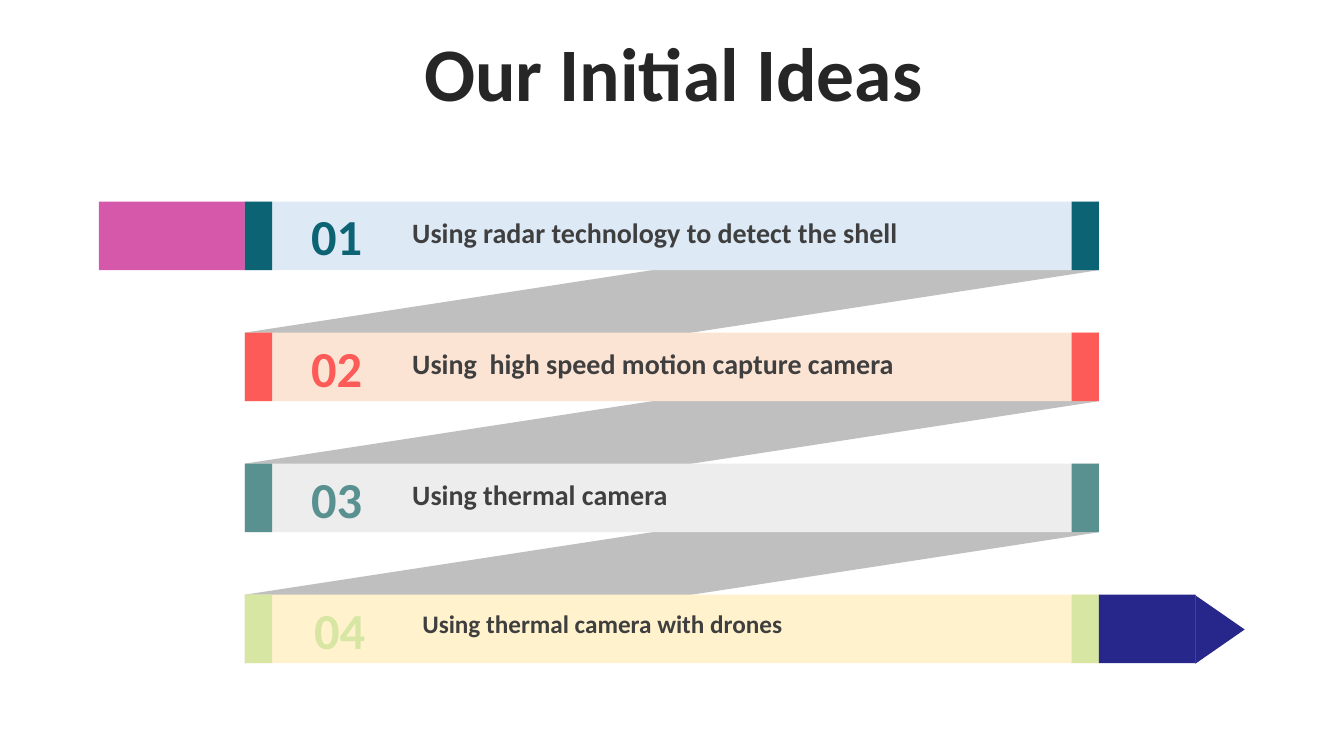
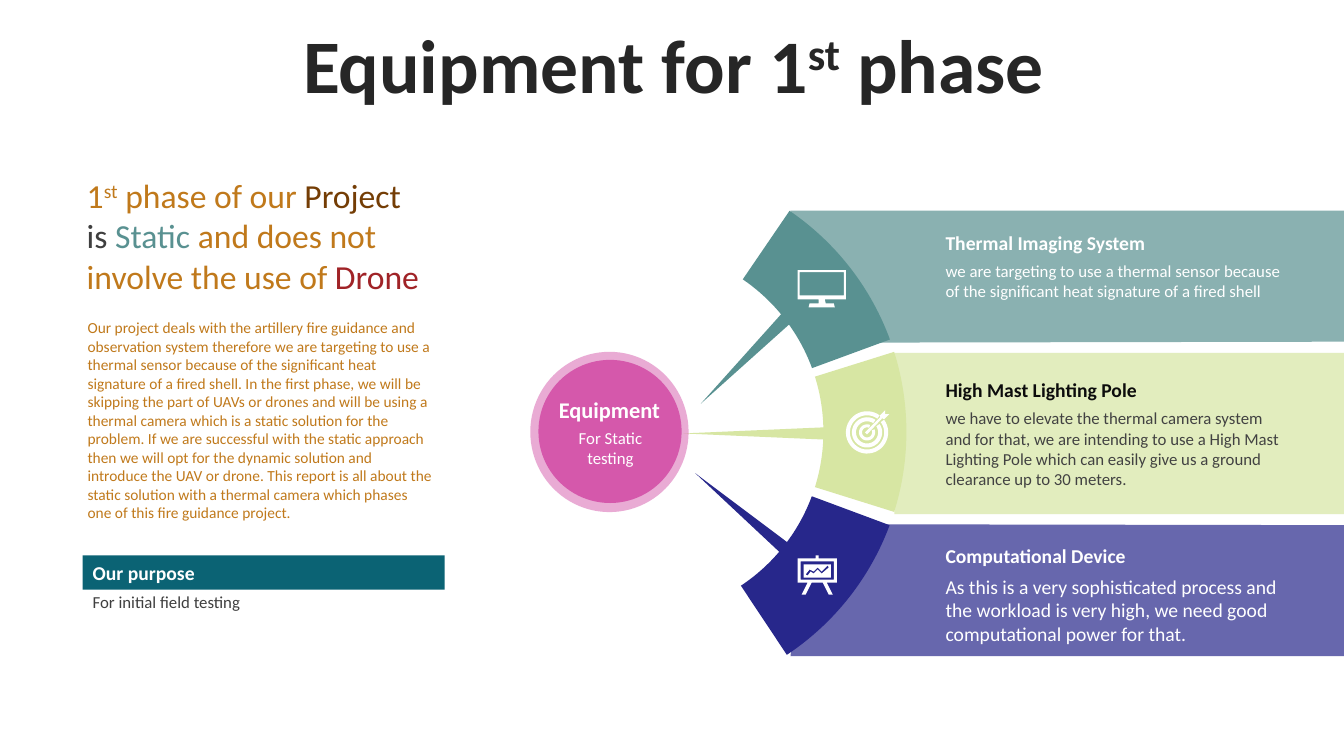
"""Builds two slides: a ribbon of initial ideas and the equipment for the first phase."""
from math import asin, cos, degrees, radians, sin

from lxml import etree
from pptx import Presentation
from pptx.dml.color import RGBColor
from pptx.enum import shapes as kinds, text as texts
from pptx.oxml.ns import qn
from pptx.util import Inches, Pt

SHAPE = kinds.MSO_SHAPE
CENTER = texts.PP_ALIGN.CENTER
MIDDLE = texts.MSO_ANCHOR.MIDDLE
FONT = "Calibri"
COLORS = {
    "title": "262626", "body": "3F3F3F", "white": "FFFFFF", "ribbon": "BFBFBF",
    "pink": "D558AB", "petrol": "0B6374", "coral": "FD5B58", "teal": "599191",
    "lime": "D7E6A3", "navy": "27278B", "ochre": "C0791B", "brown": "743D05",
    "red": "A02327", "ice": "DDEAF6", "peach": "FBE4D4", "mist": "EDEDED",
    "cream": "FFF2CC", "ink": "0C0C0C", "gray": "424242",
}

IDEAS = [
    {"text": "Using radar technology to detect the shell", "color": "petrol", "bar": "ice"},
    {"text": "Using  high speed motion capture camera", "color": "coral", "bar": "peach"},
    {"text": "Using thermal camera", "color": "teal", "bar": "mist"},
    {"text": "Using thermal camera with drones", "color": "lime", "bar": "cream",
     "size": 18, "indent": 0.1, "number_indent": 0.03},
]

EQUIPMENT = [
    {"head": "Thermal Imaging System", "head_color": "white", "top": 2.24, "size": 12,
     "text": "we are targeting to use a thermal sensor because of the significant heat "
             "signature of a fired shell", "text_color": "white",
     "color": "teal", "arc": (304.3, 339.8), "spike": (7.31, 2.98, 1.2, 225),
     "panel": [(7.84, 2.09), (13.33, 2.09), (13.33, 3.39), (7.98, 3.4)]},
    {"head": "High Mast Lighting Pole", "head_color": "ink", "top": 3.7, "size": 12,
     "text": "we have to elevate the thermal camera system and for that, we are intending "
             "to use a High Mast Lighting Pole which can easily give us a ground clearance "
             "up to 30 meters.", "text_color": "gray",
     "color": "lime", "arc": (342.6, 17.4), "spike": (7.46, 3.55, 1.5, 270),
     "panel": [(8.87, 3.5), (13.33, 3.5), (13.33, 5.1), (8.87, 5.1)]},
    {"head": "Computational Device", "head_color": "white", "top": 5.35, "size": 14,
     "text": "As this is a very sophisticated process and the workload is very high, we "
             "need good computational power for that.", "text_color": "white",
     "color": "navy", "arc": (20.4, 56.4), "spike": (7.29, 4.48, 1.2, 310),
     "panel": [(7.98, 5.2), (13.33, 5.21), (13.33, 6.51), (7.84, 6.51)]},
]

PHASE_HEADING = [
    [("1", "ochre"), ("st", "ochre", True), (" phase of our ", "ochre"), ("Project", "brown")],
    [("is ", "body"), ("Static ", "teal"), ("and does not involve the use of ", "ochre"),
     ("Drone", "red")],
]
PHASE_TEXT = (
    "Our project deals with the artillery fire guidance and observation system therefore we "
    "are targeting to use a thermal sensor because of the significant heat signature of a "
    "fired shell. In the first phase, we will be skipping the part of UAVs or drones and will "
    "be using a thermal camera which is a static solution for the problem. If we are "
    "successful with the static approach then we will opt for the dynamic solution and "
    "introduce the UAV or drone. This report is all about the static solution with a thermal "
    "camera which phases one of this fire guidance project."
)

MONITOR = [
    [(7.91, 2.68), (8.39, 2.68), (8.39, 2.97), (8.18, 2.97), (8.19, 3.01), (8.27, 3.01),
     (8.28, 3.05), (8.02, 3.05), (8.03, 3.01), (8.12, 3.01), (8.12, 2.97), (7.91, 2.97)],
    [(7.93, 2.7), (8.37, 2.7), (8.37, 2.93), (7.93, 2.93)],
]
EASEL = [
    [(7.91, 5.54), (8.09, 5.54), (8.09, 5.51), (8.12, 5.51), (8.12, 5.54), (8.3, 5.54),
     (8.3, 5.78), (8.2, 5.78), (8.26, 5.9), (8.22, 5.9), (8.16, 5.78), (8.05, 5.78),
     (7.99, 5.9), (7.95, 5.9), (8.01, 5.78), (7.91, 5.78)],
    [(7.94, 5.57), (8.27, 5.57), (8.27, 5.75), (7.94, 5.75)],
    [(7.97, 5.6), (8.24, 5.6), (8.24, 5.73), (7.97, 5.73)],
    [(7.99, 5.7), (8.03, 5.65), (8.07, 5.67), (8.11, 5.63), (8.15, 5.67), (8.21, 5.61),
     (8.22, 5.63), (8.15, 5.69), (8.11, 5.65), (8.07, 5.69), (8.04, 5.67), (8.01, 5.71)],
]
TARGET_CENTER = (8.6, 4.29)
TARGET_RINGS = [(0.21, 0.17), (0.15, 0.11), (0.08, 0.05)]
TARGET_ARROW = [(8.58, 4.29), (8.73, 4.14), (8.73, 4.12), (8.78, 4.07), (8.78, 4.11),
                (8.82, 4.11), (8.77, 4.16), (8.75, 4.15), (8.6, 4.31)]


def paint(shape, color, alpha=None):
    shape.shadow.inherit = False
    shape.fill.solid()
    shape.fill.fore_color.rgb = RGBColor.from_string(COLORS[color])
    shape.line.fill.background()
    if alpha:
        tint = shape._element.spPr.find(".//" + qn("a:srgbClr"))
        etree.SubElement(tint, qn("a:alpha")).set("val", str(alpha * 1000))
    return shape


def add_block(slide, kind, box, color, alpha=None):
    return paint(slide.shapes.add_shape(kind, *map(Inches, box)), color, alpha)


def add_outline(slide, contours, color, alpha=None):
    contours = [[(Inches(x), Inches(y)) for x, y in contour] for contour in contours]
    builder = slide.shapes.build_freeform(*contours[0][0])
    for index, contour in enumerate(contours):
        if index:
            builder.move_to(*contour[0])
        builder.add_line_segments(contour[1:], close=True)
    return paint(builder.convert_to_shape(), color, alpha)


def write(frame, paragraphs, size, bold=False, align=None):
    frame.word_wrap = True
    for index, runs in enumerate(paragraphs):
        paragraph = frame.add_paragraph() if index else frame.paragraphs[0]
        paragraph.alignment = align or texts.PP_ALIGN.LEFT
        for words, color, *raised in runs:
            run = paragraph.add_run()
            run.text = words
            run.font.name, run.font.size, run.font.bold = FONT, Pt(size), bold
            run.font.color.rgb = RGBColor.from_string(COLORS[color])
            if raised:
                run._r.get_or_add_rPr().set("baseline", "30000")
    return frame


def add_text(slide, box, paragraphs, size, bold=False, align=None):
    frame = slide.shapes.add_textbox(*map(Inches, box)).text_frame
    return write(frame, paragraphs, size, bold, align)


def add_titled_slide(deck, runs, top, spacing):
    slide = deck.slides.add_slide(deck.slide_layouts[6])
    title = add_text(slide, (0.35, top, 12.66, 0.79), [runs], 54, True, CENTER)
    title.vertical_anchor = MIDDLE
    title.paragraphs[0].line_spacing = spacing
    title.paragraphs[0].space_after = Pt(16)
    return slide


def build_ideas(deck):
    slide = add_titled_slide(deck, [("Our Initial Ideas", "title")], 0.37, 0.9)
    left, right, first, pitch, height, cap = 2.43, 10.9, 2, 1.3, 0.68, 0.27
    tops = [first + pitch * row for row in range(len(IDEAS))]
    for upper, lower in zip(tops, tops[1:]):
        add_outline(slide, [[(left, lower), (right, upper), (right, upper + height),
                             (left, lower + height)]], "ribbon")
    add_block(slide, SHAPE.RECTANGLE, (0.98, first, left - 0.98, height), "pink")
    for number, (idea, top) in enumerate(zip(IDEAS, tops), 1):
        add_block(slide, SHAPE.RECTANGLE, (left, top, right - left, height), idea["bar"])
        for cap_left in (left, right - cap):
            add_block(slide, SHAPE.RECTANGLE, (cap_left, top, cap, height), idea["color"])
        add_text(slide, (2.95 + idea.get("number_indent", 0), top - 0.01, 0.78, 0.71),
                 [[(f"{number:02}", idea["color"])]], 36, True, CENTER)
        add_text(slide, (3.99 + idea.get("indent", 0), top + 0.09, 6.05, 0.44),
                 [[(idea["text"], "body")]], idea.get("size", 20), True)
    add_block(slide, SHAPE.RECTANGLE, (right, tops[-1], 0.96, height), "navy")
    tip = add_block(slide, SHAPE.ISOSCELES_TRIANGLE, (11.76, 6, height, 0.49), "navy")
    tip.rotation = 90


def arc_points(radius, start, end):
    x, y = TARGET_CENTER
    angles = [radians(start + (end - start) * step / 40) for step in range(41)]
    return [(x + radius * cos(angle), y + radius * sin(angle)) for angle in angles]


def target_contours():
    contours = []
    for outer, inner in TARGET_RINGS:
        gap = degrees(asin(0.03 / outer))
        start, end = gap - 45, 315 - gap
        contours.append(arc_points(outer, start, end) + arc_points(inner, end, start))
    return contours


def build_equipment(deck):
    slide = add_titled_slide(
        deck, [("Equipment for 1", "title"), ("st", "title", True), (" phase", "title")],
        0.34, 0.7)
    for item in EQUIPMENT:
        add_outline(slide, [item["panel"]], item["color"], 70)
    for item in EQUIPMENT:
        arc = add_block(slide, SHAPE.BLOCK_ARC, (3.68, 1.63, 5.31, 5.31), item["color"])
        start, end = item["arc"]
        for index, value in enumerate((start * 0.6, end * 0.6, 0.155)):
            arc.adjustments[index] = value
        left, top, length, angle = item["spike"]
        spike = add_block(slide, SHAPE.ISOSCELES_TRIANGLE, (left, top, 0.13, length),
                          item["color"])
        spike.rotation = angle
        add_text(slide, (9.28, item["top"], 3.56, 0.34),
                 [[(item["head"], item["head_color"])]], 14, True)
        add_text(slide, (9.28, item["top"] + 0.3, 3.56, 0.8),
                 [[(item["text"], item["text_color"])]], item["size"])

    add_block(slide, SHAPE.OVAL, (5.26, 3.49, 1.57, 1.59), "pink", 50)
    add_block(slide, SHAPE.OVAL, (5.34, 3.57, 1.42, 1.42), "pink")
    add_text(slide, (5.36, 3.88, 1.37, 0.37), [[("Equipment", "white")]], 16, True, CENTER)
    add_text(slide, (5.37, 4.19, 1.37, 0.5),
             [[("For Static", "white")], [("testing", "white")]], 12, align=CENTER)

    for icon in (MONITOR, EASEL, target_contours(), [TARGET_ARROW]):
        add_outline(slide, icon, "white")

    heading = add_text(slide, (0.82, 1.73, 3.62, 1.21), PHASE_HEADING, 24)
    heading.vertical_anchor = MIDDLE
    heading.margin_left = heading.margin_right = Inches(0.04)
    heading.margin_top = heading.margin_bottom = 0
    add_text(slide, (0.77, 3.11, 3.62, 2.3), [[(PHASE_TEXT, "ochre")]], 11)
    purpose = add_block(slide, SHAPE.RECTANGLE, (0.82, 5.51, 3.59, 0.34), "petrol")
    write(purpose.text_frame, [[("Our purpose", "white")]], 14, True)
    add_text(slide, (0.82, 5.82, 3.62, 0.3), [[("For initial field testing", "body")]], 12)


def main():
    deck = Presentation()
    deck.slide_width, deck.slide_height = Inches(13.33), Inches(7.5)
    build_ideas(deck)
    build_equipment(deck)
    deck.save("out.pptx")


if __name__ == "__main__":
    main()
